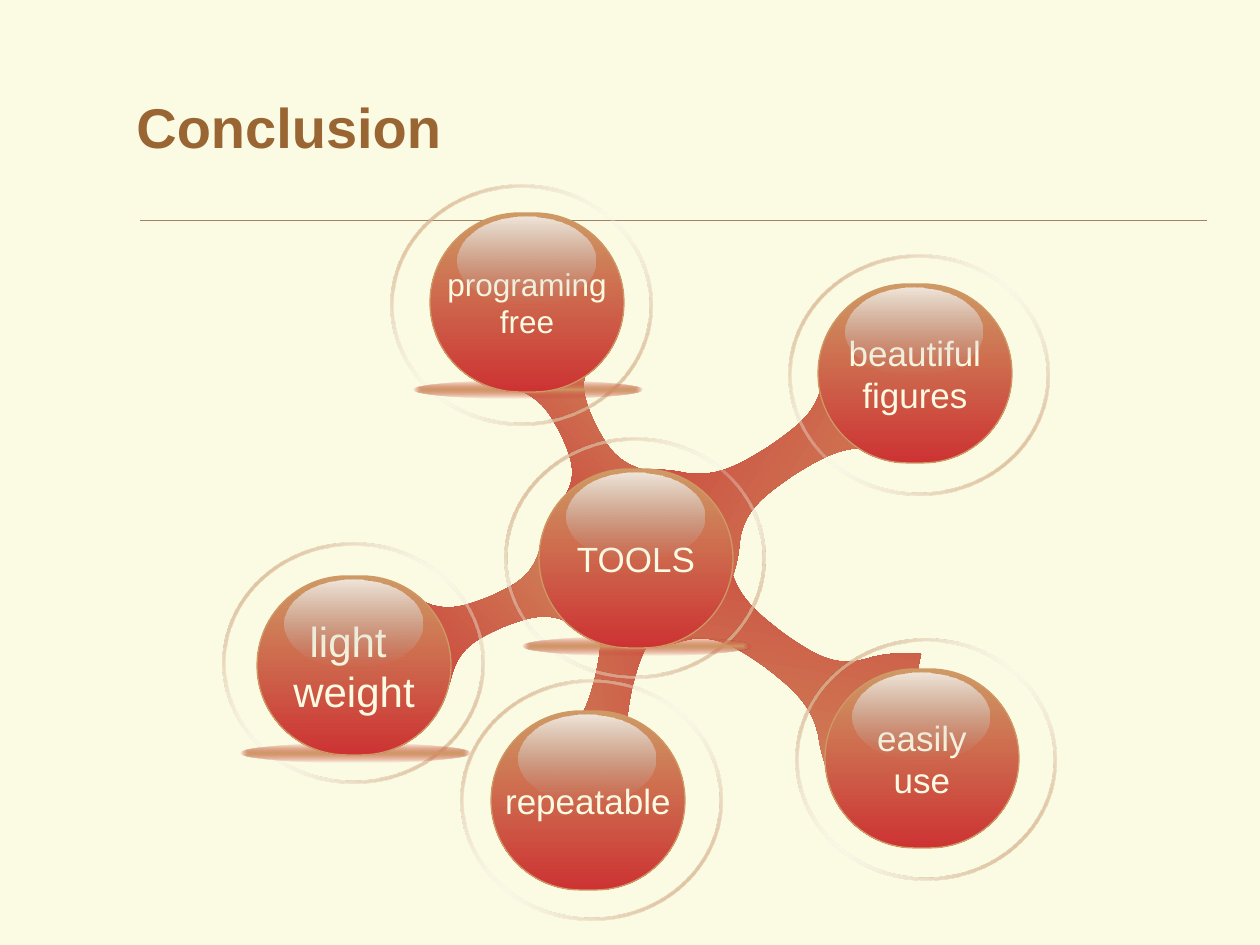
"""Build the conclusion slide with six linked glossy balls."""
import dataclasses
import math

import lxml.etree
import pptx
import pptx.dml.color
import pptx.enum.shapes
import pptx.enum.text
import pptx.oxml.ns
import pptx.util

SCALE = 914400 / 126
SHAPES = pptx.enum.shapes.MSO_SHAPE
ALIGN = pptx.enum.text.PP_ALIGN
MIDDLE = pptx.enum.text.MSO_ANCHOR.MIDDLE


@dataclasses.dataclass(frozen=True)
class Theme:
    """Colours, type sizes and font of the slide."""
    paper: str = "FBFAE2"
    title: str = "996633"
    rule: str = "A08366"
    red: str = "CD3333"
    tan: str = "CE9964"
    light: str = "F8F8F8"
    grey: str = "B1B1B1"
    font: str = "Arial"
    title_size: int = 32
    small: int = 18
    medium: int = 20
    large: int = 24


THEME = Theme()

BALL_SIZE = (194, 179)
RING_SIZE = (261, 241)
GLOSS_SIZE = (137, 88)
SHADOW_SIZE = (229, 18)

# Lines, type size, ball corner, ring corner, has shadow
BALLS = [
    (["programing", "free"], THEME.small, (430, 213), (391, 185), True),
    (["TOOLS"], THEME.medium, (539, 469), (504, 438), True),
    (["light ", "weight"], THEME.large, (257, 576), (223, 543), True),
    (["repeatable"], THEME.medium, (491, 711), (461, 680), False),
    (["beautiful", "figures"], THEME.medium, (818, 284), (789, 255), False),
    (["easily", "use"], THEME.medium, (825, 669), (796, 639), False),
]

# Centre, first corner and second corner from the centre, rotation
ARMS = [
    ((614, 681), (36, -137), (-55, -133), 216),
    ((774, 650), (-128, -98), (-147, -4), 145),
    ((781, 461), (-137, 86), (-57, 136), 76),
    ((496, 612), (115, -45), (64, -106), 0),
    ((578, 429), (48, 106), (116, 61), 0),
]

# Curve controls of one arm side, as shares of its two corners
ARM_SIDE = [
    (0, 1), (0, 1), (-0.03, 0.82), (0.07, 0.56),
    (0.17, 0.26), (0.03, 0.24), (-0.18, 0.22),
    (-0.42, 0.22), (-0.6, 0.24), (-0.99, 0.55),
    (-1.33, 0.8), (-1.68, 0.99), (-1.68, 0.99),
]


def emu(pixels):
    """Turn pixels into EMU."""
    return pptx.util.Emu(round(pixels * SCALE))


def colour(value):
    """Turn a hex string into a colour."""
    return pptx.dml.color.RGBColor.from_string(value)


def paint(shape, stops, angle=None):
    """Fill a shape with a linear gradient, or from its centre without an angle."""
    shape.shadow.inherit = False
    shape.line.fill.background()
    shape.fill.background()
    name = pptx.oxml.ns.qn
    gradient = lxml.etree.Element(name("a:gradFill"), rotWithShape="1")
    stop_list = lxml.etree.SubElement(gradient, name("a:gsLst"))
    for place, value, alpha in stops:
        stop = lxml.etree.SubElement(stop_list, name("a:gs"), pos=str(place * 1000))
        tint = lxml.etree.SubElement(stop, name("a:srgbClr"), val=value)
        if alpha < 100:
            lxml.etree.SubElement(tint, name("a:alpha"), val=str(alpha * 1000))
    if angle is None:
        centre = lxml.etree.SubElement(gradient, name("a:path"), path="shape")
        sides = dict.fromkeys("ltrb", "50000")
        lxml.etree.SubElement(centre, name("a:fillToRect"), **sides)
    else:
        lxml.etree.SubElement(gradient, name("a:lin"), ang=str(angle * 60000), scaled="1")
    properties = shape._element.spPr
    properties.replace(properties.find(name("a:noFill")), gradient)


def add_preset(page, kind, corner, size, stops, angle=None):
    """Add a gradient preset shape."""
    shape = page.shapes.add_shape(kind, *map(emu, (*corner, *size)))
    paint(shape, stops, angle)
    return shape


def write(box, lines, *, size, color, bold=False, align=ALIGN.LEFT, wrap=True):
    """Write lines of text, one paragraph each, into a shape."""
    frame = box.text_frame
    frame.word_wrap = wrap
    frame.vertical_anchor = MIDDLE
    for index, line in enumerate(lines):
        para = frame.add_paragraph() if index else frame.paragraphs[0]
        para.alignment = align
        span = para.add_run()
        span.text = line
        span.font.name = THEME.font
        span.font.size = pptx.util.Pt(size)
        span.font.bold = bold
        span.font.color.rgb = colour(color)


def add_rule(page):
    """Add the thin line under the title."""
    rule = page.shapes.add_connector(
        pptx.enum.shapes.MSO_CONNECTOR.STRAIGHT, *map(emu, (140, 220, 1207, 220)))
    rule.line.color.rgb = colour(THEME.rule)
    rule.line.width = pptx.util.Pt(0.25)
    lxml.etree.SubElement(rule._element.spPr, pptx.oxml.ns.qn("a:effectLst"))


def add_title(page):
    """Add the slide title."""
    box = page.shapes.add_textbox(*map(emu, (124, 57, 1074, 139)))
    write(box, ["Conclusion"], size=THEME.title_size, color=THEME.title, bold=True)


def flatten(controls, steps=10):
    """Turn a chain of cubic curves into points."""
    points = [controls[0]]
    for first in range(0, len(controls) - 1, 3):
        curve = controls[first:first + 4]
        for step in range(1, steps + 1):
            t = step / steps
            weights = ((1 - t) ** 3, 3 * t * (1 - t) ** 2, 3 * t * t * (1 - t), t ** 3)
            points.append(tuple(sum(w * p[axis] for w, p in zip(weights, curve))
                                for axis in (0, 1)))
    return points


def add_arm(page, centre, first, second, rotation):
    """Add a connecting arm that is symmetric about its centre."""
    side = [(1, 0)] + flatten(ARM_SIDE)
    outline = side + [(-a, -b) for a, b in side]
    cosine, sine = math.cos(math.radians(rotation)), math.sin(math.radians(rotation))
    points = []
    for a, b in outline:
        x, y = (a * p + b * q for p, q in zip(first, second))
        points.append((emu(centre[0] + x * cosine + y * sine),
                       emu(centre[1] + y * cosine - x * sine)))
    builder = page.shapes.build_freeform(*points[0])
    builder.add_line_segments(points[1:], close=True)
    arm = builder.convert_to_shape()
    arm.rotation = rotation
    paint(arm, [(0, THEME.red, 100), (100, THEME.tan, 100)], 315)


def add_ring(page, corner):
    """Add the thin ring around a ball."""
    stops = [(0, THEME.tan, 100), (50, THEME.light, 24), (100, THEME.tan, 100)]
    ring = add_preset(page, SHAPES.DONUT, corner, RING_SIZE, stops, 45)
    ring.adjustments[0] = 0.014


def add_ball(page, lines, size, corner, has_shadow):
    """Add a labelled ball with its gloss and optional ground shadow."""
    left, top = corner
    if has_shadow:
        add_preset(page, SHAPES.OVAL, (left - 16, top + 168), SHADOW_SIZE,
                   [(0, THEME.tan, 100), (100, THEME.red, 0)])
    ball = add_preset(page, SHAPES.ROUNDED_RECTANGLE, corner, BALL_SIZE,
                      [(0, THEME.tan, 100), (100, THEME.red, 100)], 90)
    ball.adjustments[0] = 0.5
    ball.line.color.rgb = colour(THEME.tan)
    ball.line.width = pptx.util.Pt(0.75)
    write(ball, lines, size=size, color=THEME.paper, align=ALIGN.CENTER, wrap=False)
    add_preset(page, SHAPES.OVAL, (left + 28, top + 4), GLOSS_SIZE,
               [(0, THEME.light, 80), (100, THEME.grey, 0)], 90)


def main():
    """Build and save the deck."""
    deck = pptx.Presentation()
    deck.slide_width, deck.slide_height = emu(1260), emu(945)
    page = deck.slides.add_slide(deck.slide_layouts[6])
    page.background.fill.solid()
    page.background.fill.fore_color.rgb = colour(THEME.paper)
    add_rule(page)
    add_title(page)
    for arm in ARMS:
        add_arm(page, *arm)
    for *_, ring_corner, _ in BALLS:
        add_ring(page, ring_corner)
    for lines, size, corner, _, has_shadow in BALLS:
        add_ball(page, lines, size, corner, has_shadow)
    deck.save("out.pptx")


main()
